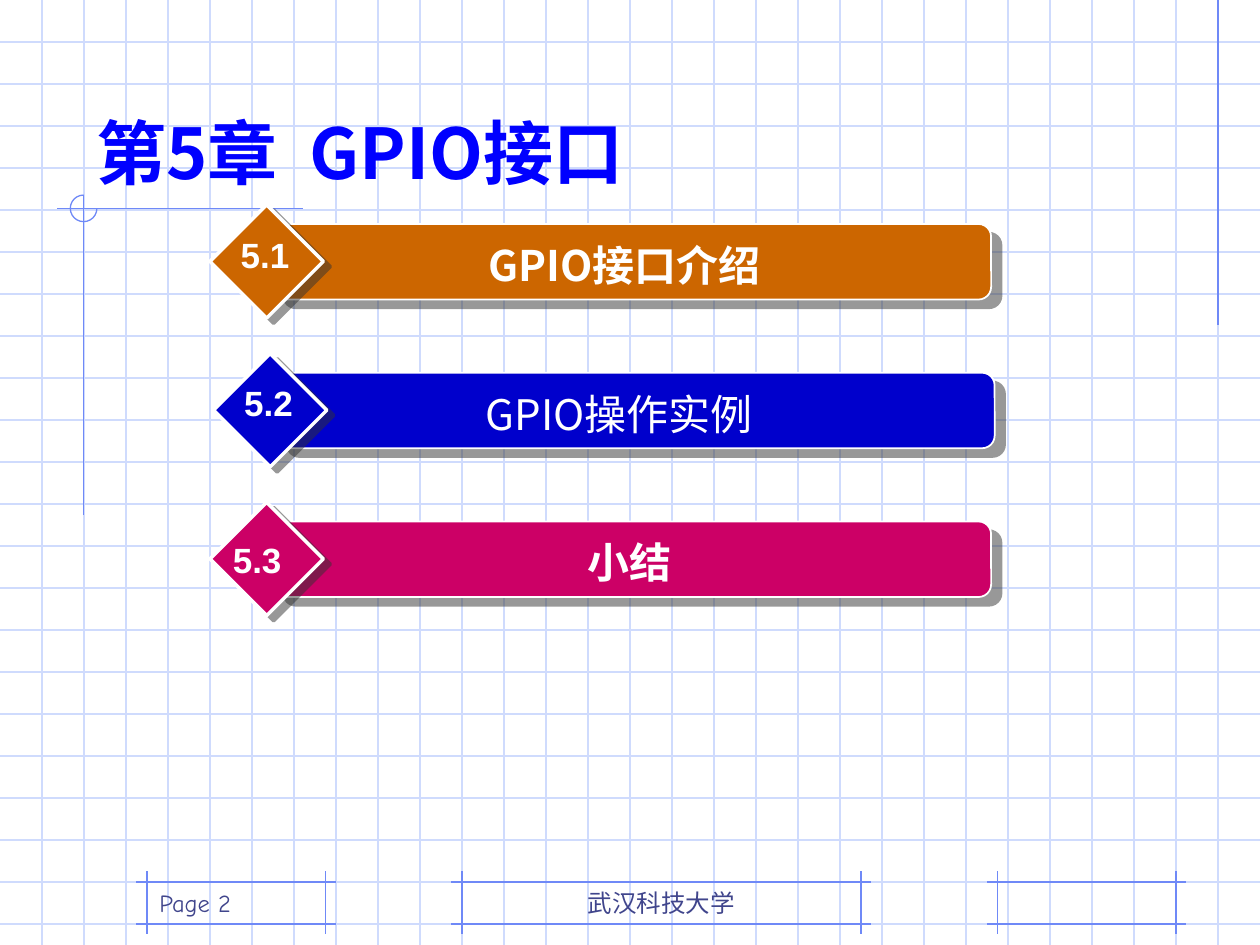
from lxml import etree
from pptx import Presentation
from pptx.dml.color import RGBColor
from pptx.enum import shapes, text
from pptx.oxml import ns
from pptx.util import Pt

COLORS = {
    "grid": "CFDBFD", "frame": "6F89F7", "footer": "40458C", "title": "0000FF",
    "white": "FFFFFF", "shadow": "333333",
    "intro": "CC6600", "practice": "0000CC", "summary": "CC0066",
}
CJK = "Noto Sans CJK JP"
WIDTH, HEIGHT, STEP = 720, 540, 24

prs = Presentation()
prs.slide_width, prs.slide_height = Pt(WIDTH), Pt(HEIGHT)
slide = prs.slides.add_slide(prs.slide_layouts[5])
canvas = slide.shapes


def rule(x1, y1, x2, y2, color):
    """Draw a thin straight line without a shadow."""
    line = canvas.add_connector(shapes.MSO_CONNECTOR.STRAIGHT, Pt(x1), Pt(y1), Pt(x2), Pt(y2))
    line.line.color.rgb = RGBColor.from_string(COLORS[color])
    line.line.width = Pt(0.75)
    etree.SubElement(line._element.spPr, ns.qn("a:effectLst"))


def write(frame, runs, color, anchor, align, wrap=True, **font):
    """Fill a text frame with one paragraph of (words, letter spacing) runs."""
    layout = {"word_wrap": wrap, "auto_size": text.MSO_AUTO_SIZE.NONE, "vertical_anchor": anchor,
              "margin_left": Pt(7.2), "margin_right": Pt(7.2),
              "margin_top": Pt(3.6), "margin_bottom": Pt(3.6)}
    for key, value in layout.items():
        setattr(frame, key, value)
    paragraph = frame.paragraphs[0]
    paragraph.alignment = align
    for words, spacing in runs:
        run = paragraph.add_run()
        run.text = words
        for key, value in font.items():
            setattr(run.font, key, value)
        run.font.color.rgb = RGBColor.from_string(COLORS[color])
        properties = run._r.get_or_add_rPr()
        etree.SubElement(properties, ns.qn("a:ea"), typeface=CJK)
        if spacing:
            properties.set("spc", str(spacing * 100))


# Squared paper
for y in range(STEP, HEIGHT - 1, STEP):
    rule(0, y, WIDTH, y, "grid")
for x in range(STEP, WIDTH, STEP):
    rule(x, 0, x, HEIGHT, "grid")

# Footer frames, their lines crossing at the corners
for left, width in ((264, 228), (570, 102), (84, 102)):
    for y in (504, 528):
        rule(left - 6, y, left + width + 6, y, "frame")
    for x in (left, left + width):
        rule(x, 498, x, 534, "frame")

# Margin lines and the corner mark
rule(696, 0, 696, 186, "frame")
rule(173, 119.2, 32.5, 119.2, "frame")
rule(47.8, 111.5, 47.8, 294.5, "frame")
corner = canvas.add_shape(shapes.MSO_SHAPE.ARC, Pt(40.2), Pt(111.5), Pt(15.2), Pt(15.2))
corner.adjustments[0], corner.adjustments[1] = 0, 162  # 0 to 270 degrees
corner.fill.background()
corner.line.color.rgb = RGBColor.from_string(COLORS["frame"])
corner.line.width = Pt(0.75)
corner.shadow.inherit = False

# Footer texts
for words, left, width, align in (
    ("武汉科技大学", 264, 228, text.PP_ALIGN.CENTER),
    ("Page 2", 84, 102, text.PP_ALIGN.LEFT),
):
    footer = canvas.add_textbox(Pt(left), Pt(504), Pt(width), Pt(24))
    write(footer.text_frame, [(words, 0)], "footer", text.MSO_ANCHOR.BOTTOM, align,
          size=Pt(14), name="Comic Neue")

# Title, brought in front of the grid
title = canvas.title
title.left, title.top, title.width, title.height = Pt(48), Pt(24), Pt(612), Pt(90)
write(title.text_frame, [("第5章", 0), (" ", 9), ("GPIO接口", 0)], "title",
      text.MSO_ANCHOR.BOTTOM, text.PP_ALIGN.LEFT, size=Pt(40), name=CJK, bold=True)
canvas._spTree.append(title._element)

# Sections: number, topic, colour, bold, bar left, topic left, number left, number offset
sections = [
    ("5.1", "GPIO接口介绍", "intro", True, 156, 195, 130.5, 1.6),
    ("5.2", "GPIO操作实例", "practice", False, 158, 192, 132.5, 1.6),
    ("5.3", "小结", "summary", True, 156, 198, 126, 6.4),
]
for row, (number, topic, color, bold, left, topic_left, number_left, drop) in enumerate(sections):
    top = 128 + 85 * row
    for kind, x, y, width, height, weight, distance, angle in (
        (shapes.MSO_SHAPE.ROUNDED_RECTANGLE, left, top, 410.4, 43.2, 1, 7.8, 40),
        (shapes.MSO_SHAPE.DIAMOND, left - 36, top - 11, 64.8, 64.8, 2, 5, 37),
    ):
        part = canvas.add_shape(kind, Pt(x), Pt(y), Pt(width), Pt(height))
        part.fill.solid()
        part.fill.fore_color.rgb = RGBColor.from_string(COLORS[color])
        part.line.color.rgb = RGBColor.from_string(COLORS["white"])
        part.line.width = Pt(weight)
        part.shadow.inherit = False
        effects = part._element.spPr.find(ns.qn("a:effectLst"))
        shadow = etree.SubElement(effects, ns.qn("a:outerShdw"), blurRad="0",
                                  dist=str(Pt(distance)), dir=str(angle * 60000),
                                  algn="ctr", rotWithShape="0")
        tint = etree.SubElement(shadow, ns.qn("a:srgbClr"), val=COLORS["shadow"])
        etree.SubElement(tint, ns.qn("a:alpha"), val="50000")

    topic_box = canvas.add_textbox(Pt(topic_left), Pt(top + 5.2), Pt(324), Pt(36))
    topic_box.fill.solid()
    topic_box.fill.fore_color.rgb = RGBColor.from_string(COLORS[color])
    write(topic_box.text_frame, [(topic, 0)], "white", text.MSO_ANCHOR.TOP,
          text.PP_ALIGN.CENTER, size=Pt(24), name=CJK, bold=bold)

    number_box = canvas.add_textbox(Pt(number_left), Pt(top + drop), Pt(42), Pt(31.6))
    write(number_box.text_frame, [(number, 0)], "white", text.MSO_ANCHOR.TOP,
          text.PP_ALIGN.CENTER, wrap=False, size=Pt(20), name="Arial", bold=True)

prs.save("out.pptx")
